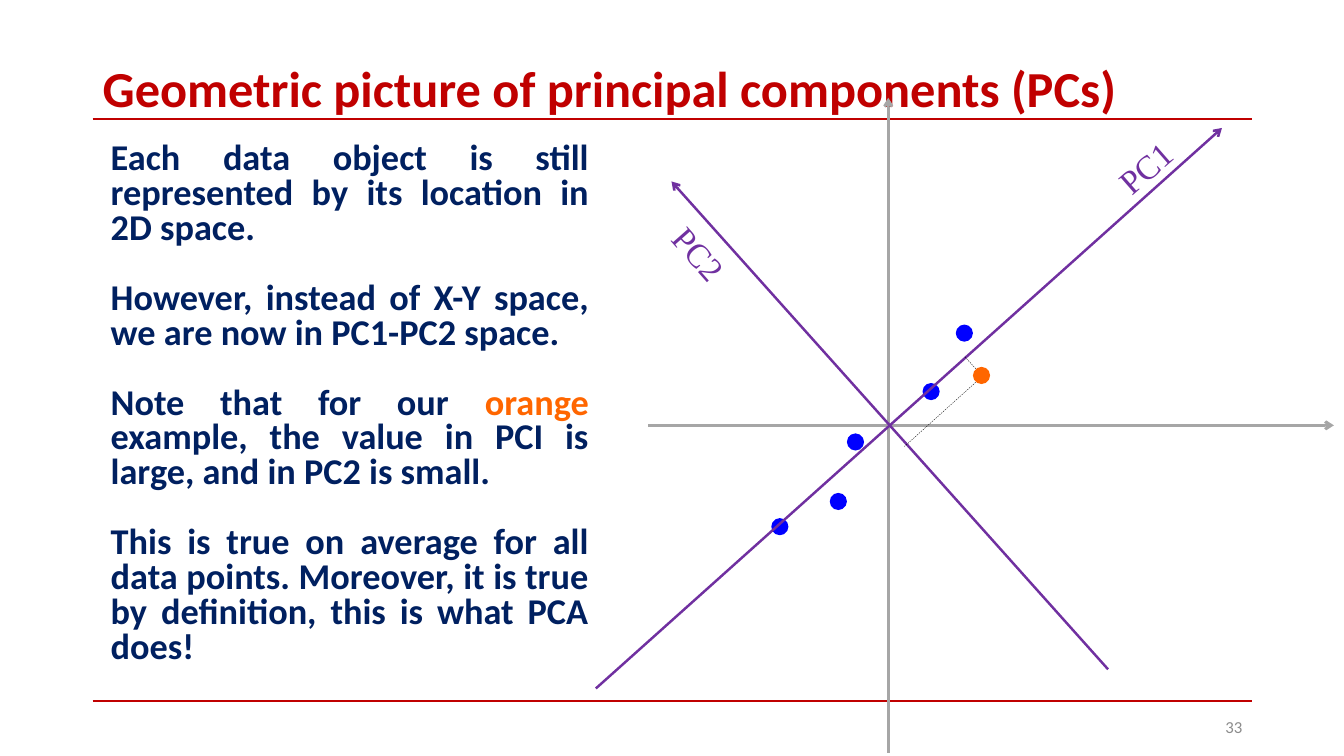
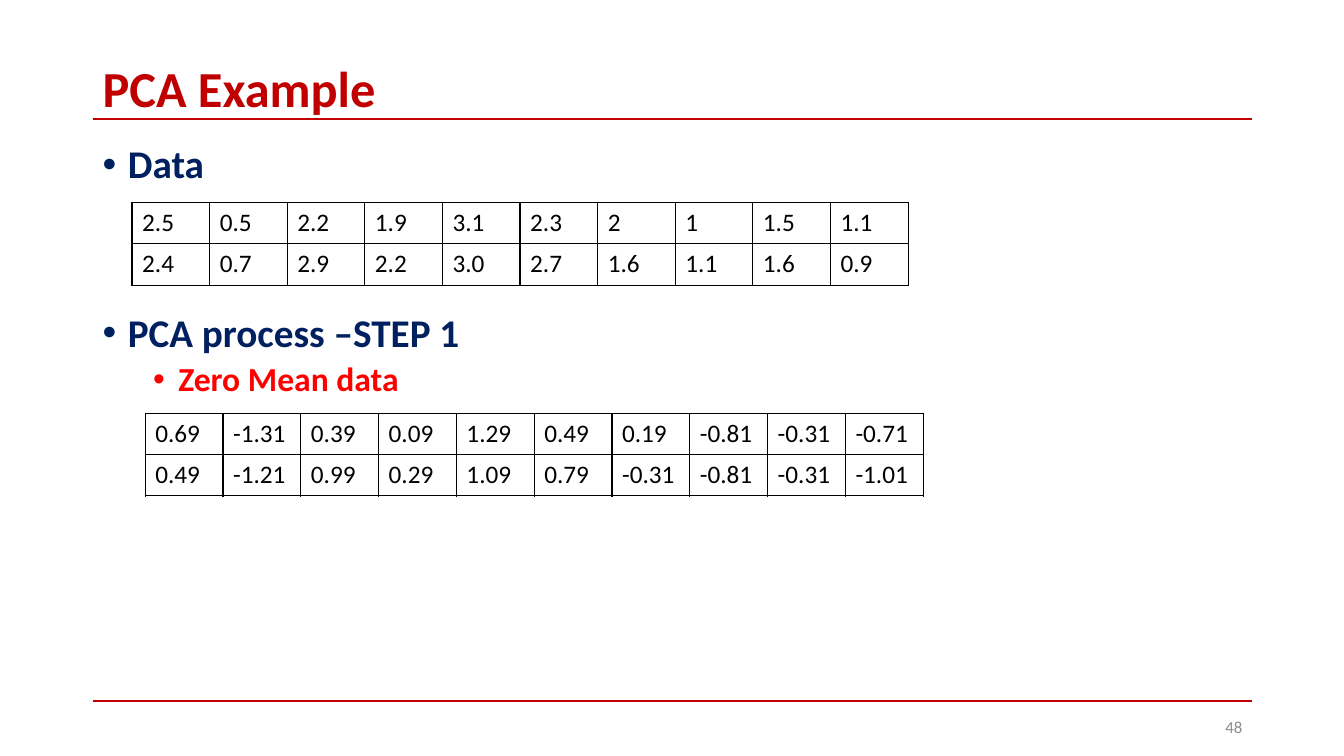
"""Build two slides on principal component analysis."""
from lxml import etree
from pptx import Presentation
from pptx import util as u
from pptx.dml.color import RGBColor
from pptx.enum import dml, shapes, text
from pptx.oxml import ns

COLORS = {
    "red": "C00000", "navy": "002060", "bright_red": "FF0000", "orange": "FF6600",
    "blue": "0000FF", "purple": "7030A0", "axis": "A6A6A6", "number": "8C8C8C",
    "black": "000000",
}
WIDTH, HEIGHT = 13.33, 7.5
LEFT, RIGHT = 0.92, 12.42
RULES = (1.18, 6.95)
TITLE_BOX = (LEFT, 0.61, RIGHT - LEFT, 0.58)
NUMBER_BOX = (RIGHT - 3, 7.01, 3, 0.4)
ALIGN, ANCHOR = text.PP_ALIGN, text.MSO_ANCHOR

FONTS = {
    "title": {"name": "Calibri", "size": u.Pt(36), "bold": True},
    "prose": {"name": "Calibri", "size": u.Pt(25.9), "bold": True},
    "bullet": {"name": "Calibri", "size": u.Pt(28), "bold": True},
    "sub_bullet": {"name": "Calibri", "size": u.Pt(24), "bold": True},
    "cell": {"name": "Calibri", "size": u.Pt(18)},
    "number": {"name": "Calibri", "size": u.Pt(12)},
    "label": {"name": "Times New Roman", "size": u.Pt(24)},
}

PROSE_BOX = (1, 1.37, 4.94, 5.37)
PROSE = [
    [("Each data object is still represented by its location in 2D space.", "navy")],
    [("However, instead of X-Y space, we are now in PC1-PC2 space.", "navy")],
    [("Note that for our ", "navy"), ("orange", "orange"),
     (" example, the value in PCI is large, and in PC2 is small.", "navy")],
    [("This is true on average for all data points. Moreover, it is true by "
      "definition, this is what PCA does!", "navy")],
]
AXES = [(8.81, 7.47, 8.81, 0.97), (6.43, 4.22, 13.23, 4.22)]
COMPONENTS = [(10.99, 6.64, 6.66, 1.8), (5.91, 6.83, 12.12, 1.27)]
PROJECTIONS = [(9.57, 3.54, 9.79, 3.78), (9.77, 3.71, 8.97, 4.43)]
DOT_SIZE = 0.17
DATA_DOTS = [(9.15, 3.8), (8.4, 4.3), (8.23, 4.89), (7.65, 5.14), (9.48, 3.22)]
EXAMPLE_DOT = (9.65, 3.64)
LABELS = [("PC1", 10.97, 1.41, 318.9), ("PC2", 6.54, 2.26, 48.7)]

OUTLINE_BOX = (LEFT, 1.39, 5.2, 5.37)
OUTLINE = [
    ("Data", "bullet", "navy", 0.25, 10),
    ("PCA process –STEP 1", "bullet", "navy", 0.25, 90),
    ("Zero Mean data", "sub_bullet", "bright_red", 0.75, 5),
]
ROW_HEIGHT = 0.41
TABLES = [
    (1.31, 2.01, 7.7, [
        "2.5 0.5 2.2 1.9 3.1 2.3 2 1 1.5 1.1",
        "2.4 0.7 2.9 2.2 3.0 2.7 1.6 1.1 1.6 0.9"]),
    (1.44, 4.1, 7.72, [
        "0.69 -1.31 0.39 0.09 1.29 0.49 0.19 -0.81 -0.31 -0.71",
        "0.49 -1.21 0.99 0.29 1.09 0.79 -0.31 -0.81 -0.31 -1.01"]),
]


def color(name):
    return RGBColor.from_string(COLORS[name])


def inches(values):
    return [u.Inches(value) for value in values]


def set_format(target, values):
    for name, value in values.items():
        setattr(target, name, value)


def add_run(paragraph, wording, font, color_name):
    run = paragraph.add_run()
    run.text = wording
    set_format(run.font, FONTS[font])
    run.font.color.rgb = color(color_name)


def add_text(slide, box, paragraphs, font, paragraph_format, **frame_format):
    """Add a text box; each paragraph is a list of (wording, color) runs."""
    shape = slide.shapes.add_textbox(*inches(box))
    frame = shape.text_frame
    set_format(frame, {"word_wrap": True, **frame_format})
    for index, runs in enumerate(paragraphs):
        paragraph = frame.add_paragraph() if index else frame.paragraphs[0]
        set_format(paragraph, paragraph_format)
        if index == 0:
            paragraph.space_before = u.Pt(0)
        for wording, color_name in runs:
            add_run(paragraph, wording, font, color_name)
    return shape


def add_line(slide, ends, color_name, width, arrow=False, dash=None):
    line = slide.shapes.add_connector(shapes.MSO_CONNECTOR.STRAIGHT, *inches(ends))
    line.line.color.rgb = color(color_name)
    set_format(line.line, {"width": u.Pt(width), "dash_style": dash})
    if arrow:
        etree.SubElement(line.line._get_or_add_ln(), ns.qn("a:tailEnd"), type="arrow")
    etree.SubElement(line._element.spPr, ns.qn("a:effectLst"))


def add_dot(slide, position, color_name):
    dot = slide.shapes.add_shape(
        shapes.MSO_SHAPE.OVAL, *inches((*position, DOT_SIZE, DOT_SIZE)))
    dot.shadow.inherit = False
    dot.fill.solid()
    dot.fill.fore_color.rgb = color(color_name)
    dot.line.fill.background()


def add_frame(presentation, title, number):
    """Add a slide with the shared rules, title and slide number."""
    slide = presentation.slides.add_slide(presentation.slide_layouts[6])
    for y in RULES:
        add_line(slide, (LEFT, y, RIGHT, y), "red", 1.5)
    add_text(slide, TITLE_BOX, [[(title, "red")]], "title", {"line_spacing": 0.9},
             vertical_anchor=ANCHOR.MIDDLE)
    add_text(slide, NUMBER_BOX, [[(str(number), "number")]], "number",
             {"alignment": ALIGN.RIGHT}, vertical_anchor=ANCHOR.MIDDLE)
    return slide


def add_outline(slide):
    frame = slide.shapes.add_textbox(*inches(OUTLINE_BOX)).text_frame
    frame.word_wrap = True
    for index, (wording, font, color_name, indent, gap) in enumerate(OUTLINE):
        paragraph = frame.add_paragraph() if index else frame.paragraphs[0]
        set_format(paragraph, {"alignment": ALIGN.JUSTIFY, "line_spacing": 0.9,
                               "space_before": u.Pt(gap)})
        add_run(paragraph, wording, font, color_name)
        properties = paragraph._p.get_or_add_pPr()
        properties.set("marL", str(u.Inches(indent)))
        properties.set("indent", str(u.Inches(-0.25)))
        bullet_font = etree.SubElement(properties, ns.qn("a:buFont"))
        bullet_font.set("typeface", "Arial")
        etree.SubElement(properties, ns.qn("a:buChar"), char="•")


def add_borders(cell):
    properties = cell._tc.get_or_add_tcPr()
    for side in "LRTB":
        border = etree.SubElement(properties, ns.qn("a:ln" + side), w=str(u.Pt(1)))
        fill = etree.SubElement(border, ns.qn("a:solidFill"))
        etree.SubElement(fill, ns.qn("a:srgbClr"), val=COLORS["black"])


def add_data_table(slide, left, top, width, lines):
    rows = [line.split() for line in lines]
    box = (left, top, width, ROW_HEIGHT * len(rows))
    table = slide.shapes.add_table(len(rows), len(rows[0]), *inches(box)).table
    set_format(table, {"first_row": False, "horz_banding": False})
    for row_index, row in enumerate(rows):
        for column_index, value in enumerate(row):
            cell = table.cell(row_index, column_index)
            add_borders(cell)
            cell.fill.background()
            add_run(cell.text_frame.paragraphs[0], value, "cell", "black")


def build_geometry(presentation):
    slide = add_frame(presentation, "Geometric picture of principal components (PCs)", 33)
    for ends in AXES:
        add_line(slide, ends, "axis", 0, arrow=True)
    for position in DATA_DOTS:
        add_dot(slide, position, "blue")
    for ends in COMPONENTS:
        add_line(slide, ends, "purple", 1.75, arrow=True)
    for ends in PROJECTIONS:
        add_line(slide, ends, "black", 0.25, dash=dml.MSO_LINE.DASH)
    add_dot(slide, EXAMPLE_DOT, "orange")
    for wording, left, top, angle in LABELS:
        label = add_text(slide, (left, top, 0.78, 0.51), [[(wording, "purple")]],
                         "label", {"alignment": ALIGN.CENTER}, word_wrap=False)
        label.rotation = angle
    add_text(slide, PROSE_BOX, PROSE, "prose",
             {"alignment": ALIGN.JUSTIFY, "line_spacing": 0.8, "space_before": u.Pt(25)})


def build_example(presentation):
    slide = add_frame(presentation, "PCA Example", 48)
    add_outline(slide)
    for table in TABLES:
        add_data_table(slide, *table)


def main():
    presentation = Presentation()
    set_format(presentation, {"slide_width": u.Inches(WIDTH),
                              "slide_height": u.Inches(HEIGHT)})
    build_geometry(presentation)
    build_example(presentation)
    presentation.save("out.pptx")


if __name__ == "__main__":
    main()
